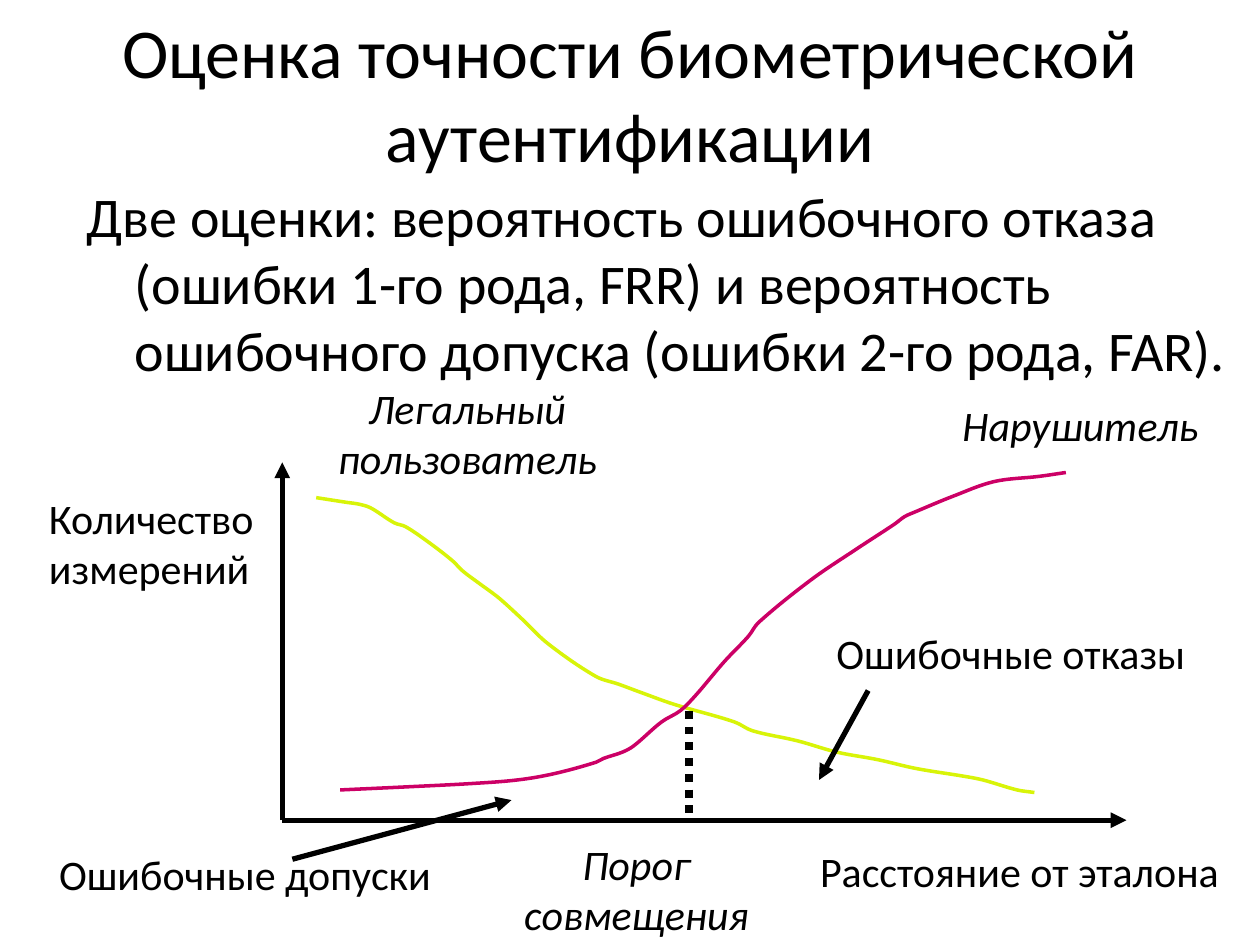
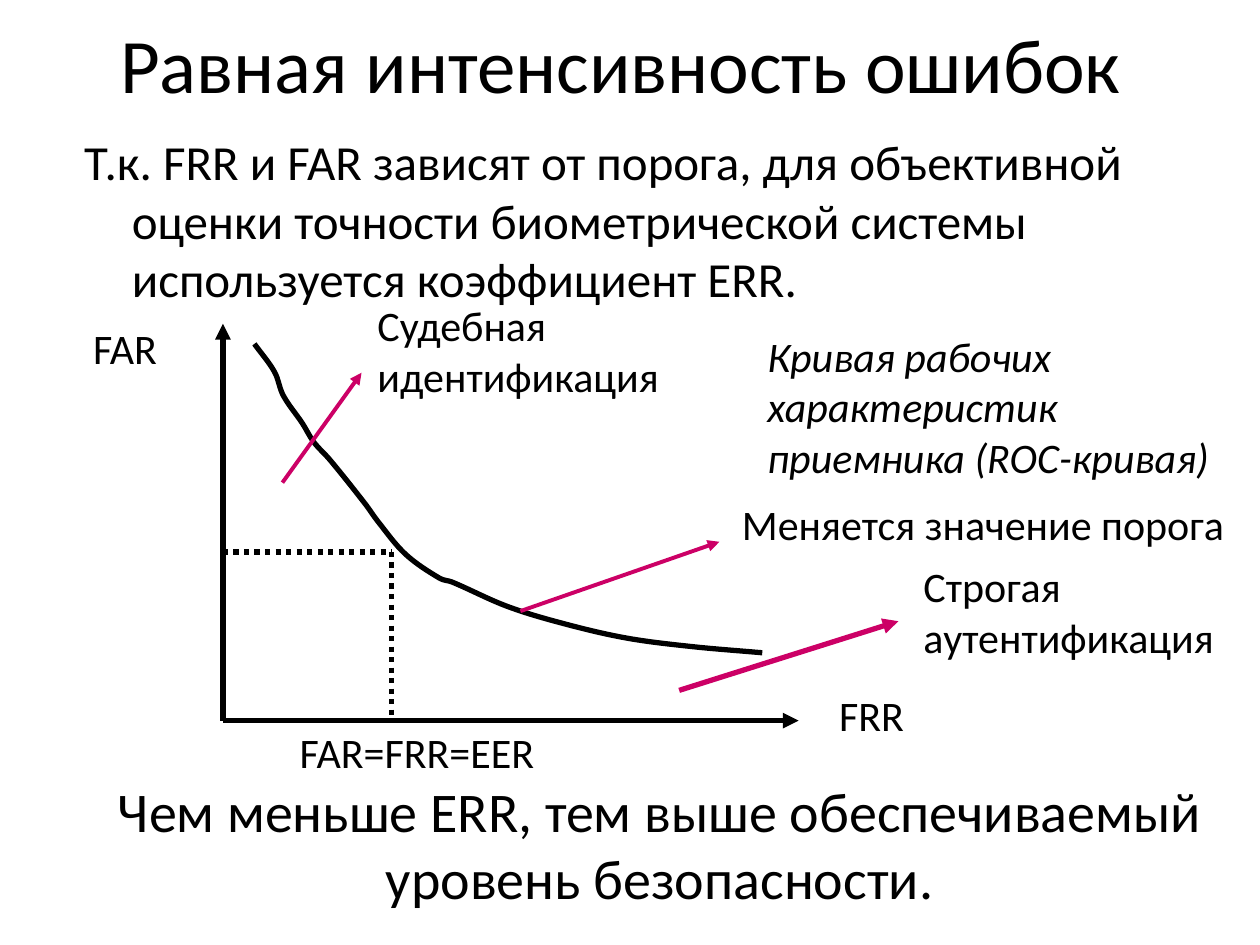
import math

import pptx
import pptx.util
import pptx.dml.color
import pptx.enum.shapes
import pptx.enum.text
import pptx.oxml.ns
from lxml import etree

Pt = pptx.util.Pt
qn = pptx.oxml.ns.qn
ALIGN = pptx.enum.text.PP_ALIGN
ANCHOR = pptx.enum.text.MSO_ANCHOR

COLORS = {"ink": "000000", "legal": "D8F408", "accent": "CC0066"}
FONT = "Calibri"
LABEL_SIZE = 24
AXIS_WIDTH = 3
HANGING = 27.3

# Curve anchors, measured from the top left corner of the plot
LEGAL_USER = [
    (19.4, 20.2), (37.4, 23), (43.2, 23.8), (50.4, 26), (64, 34.6), (70.5, 36.8),
    (84.2, 46.1), (97.2, 56.2), (103, 62), (111.6, 68.5), (122.4, 76.4),
    (128.2, 81.4), (137.5, 90), (151.9, 103.7), (179.3, 122.4), (192.2, 126.8),
    (203.8, 131.1), (223.9, 138.3), (258.5, 148.4), (268.6, 153.4),
    (294.5, 159.2), (316.8, 165.6), (340.6, 170), (362.2, 175),
    (388.8, 179.3), (400.3, 181.5), (419.8, 187.2), (429.8, 188.7)]
INTRUDER = [
    (33.1, 187.2), (70, 185.5), (107.3, 183.6), (134.6, 181.5), (155.5, 177.9),
    (179.3, 171.4), (183.6, 169.2), (194.4, 165.6), (200.9, 162), (216.7, 148.4),
    (227.5, 141.9), (236.2, 133.2), (252.7, 113.8), (266.4, 99.4), (272.2, 91.5),
    (302.4, 67), (329, 49), (349.9, 35.3), (355.7, 31), (362.2, 28.1),
    (383, 19.5), (406.8, 11), (432.7, 8), (447.8, 5.8)]
ROC = [
    (18, 11.5), (29.5, 27.5), (34.5, 41), (45.5, 57), (52, 67.7), (61.2, 77.8),
    (81.4, 103), (88.6, 113), (104.5, 131.8), (124, 145.5), (131, 147.6),
    (162, 161.3), (192.3, 170.7), (229.5, 179.4), (267.2, 184.4), (308.2, 188)]


def rgb(name):
    return pptx.dml.color.RGBColor.from_string(COLORS[name])


def add_text(s, box, lines, size, wrap=True, italic=False, align=ALIGN.LEFT,
             anchor=ANCHOR.TOP, hanging=0):
    tf = s.shapes.add_textbox(*map(Pt, box)).text_frame
    for name, value in {"word_wrap": wrap, "vertical_anchor": anchor}.items():
        setattr(tf, name, value)
    for i, line in enumerate(lines):
        p = tf.paragraphs[0] if i == 0 else tf.add_paragraph()
        p.alignment = align
        if hanging:
            pPr = p._p.get_or_add_pPr()
            pPr.set("marL", str(Pt(hanging)))
            pPr.set("indent", str(-Pt(hanging)))
        r = p.add_run()
        r.text = line
        r.font.color.rgb = rgb("ink")
        font = {"name": FONT, "size": Pt(size), "italic": italic}
        for name, value in font.items():
            setattr(r.font, name, value)


def add_title(s, box, text, size):
    add_text(s, box, [text], size, align=ALIGN.CENTER, anchor=ANCHOR.MIDDLE)


def add_body(s, box, text, size):
    add_text(s, box, [text], size, hanging=HANGING)


def add_label(s, plot, x, y, width, lines, **style):
    """Place a label by its offset from the plot corner."""
    height = 7 + 29 * len(lines)
    box = (plot[0] + x, plot[1] + y, width, height)
    add_text(s, box, lines, LABEL_SIZE, **{"wrap": False, **style})


def add_line(s, plot, start, end, color="ink", width=AXIS_WIDTH,
             arrow=True, dotted=False):
    left, top = plot[:2]
    sp = s.shapes.add_connector(
        pptx.enum.shapes.MSO_CONNECTOR.STRAIGHT,
        Pt(left + start[0]), Pt(top + start[1]),
        Pt(left + end[0]), Pt(top + end[1]))
    sp.line.color.rgb = rgb(color)
    sp.line.width = Pt(width)
    ln = sp.line._get_or_add_ln()
    if dotted:
        etree.SubElement(ln, qn("a:prstDash"), val="sysDot")
    if arrow:
        etree.SubElement(ln, qn("a:tailEnd"), type="triangle")
    etree.SubElement(sp._element.spPr, qn("a:effectLst"))


def add_axes(s, plot):
    width, height = plot[2:]
    for end in ((0, 0), (width, height)):
        add_line(s, plot, (0, height), end)


def bezier_points(points):
    """Start point, then two handles and an anchor for each smooth segment."""
    padded = [points[0], *points, points[-1]]
    slopes = [math.atan2(b[1] - a[1], b[0] - a[0])
              for a, b in zip(padded, padded[2:])]
    result = [points[0]]
    for i, (a, b) in enumerate(zip(points, points[1:])):
        reach = math.dist(a, b) / 3
        for (x, y), slope, sign in ((a, slopes[i], 1), (b, slopes[i + 1], -1)):
            result.append((x + sign * reach * math.cos(slope),
                           y + sign * reach * math.sin(slope)))
        result.append(b)
    return result


def add_curve(s, plot, points, color, width):
    outline = [(Pt(plot[0] + x), Pt(plot[1] + y))
               for x, y in bezier_points(points)]
    builder = s.shapes.build_freeform(*outline[0])
    builder.add_line_segments(outline[1:], close=False)
    sp = builder.convert_to_shape()
    # Join every three line segments into one cubic segment
    segments = list(sp._element.iter(qn("a:lnTo")))
    for i in range(0, len(segments), 3):
        cubic = etree.Element(qn("a:cubicBezTo"))
        segments[i].addprevious(cubic)
        for segment in segments[i:i + 3]:
            cubic.append(segment[0])
            segment.getparent().remove(segment)
    sp.shadow.inherit = False
    sp.fill.background()
    sp.line.color.rgb = rgb(color)
    sp.line.width = Pt(width)


def draw_error_plot(s, plot):
    bottom = plot[3]
    add_axes(s, plot)
    # Distributions and threshold
    add_curve(s, plot, LEGAL_USER, "legal", 2)
    add_curve(s, plot, INTRUDER, "accent", 2)
    add_line(s, plot, (232.5, 142), (232.5, bottom), width=4.5,
             arrow=False, dotted=True)
    # Axis names
    add_label(s, plot, -140.4, 13.7, 140.4, ["Количество", "измерений"],
              wrap=True)
    add_label(s, plot, 300.2, 215.5, 243, ["Расстояние от эталона"])
    # Curve and threshold names
    named = {"italic": True, "align": ALIGN.CENTER}
    add_label(s, plot, 131, 211.2, 142.6, ["Порог", "совмещения"], **named)
    add_label(s, plot, 24.4, -49.4, 162.7, ["Легальный", "пользователь"],
              **named)
    add_label(s, plot, 381.6, -39.6, 149.8, ["Нарушитель"], italic=True)
    # Error regions
    add_line(s, plot, (5.8, 226.8), (131, 193))
    add_label(s, plot, -134.6, 217, 226.8, ["Ошибочные допуски"])
    add_line(s, plot, (334.8, 130.4), (306.7, 181.5))
    add_label(s, plot, 309.6, 90.8, 213.8, ["Ошибочные отказы"])


def draw_roc_plot(s, plot):
    bottom = plot[3]
    add_axes(s, plot)
    add_label(s, plot, -81.3, -4.3, 52, ["FAR"])
    add_label(s, plot, 345, 205.3, 54, ["FRR"])
    # Curve
    add_curve(s, plot, ROC, "ink", 3)
    add_label(s, plot, 304, 0.2, 267,
              ["Кривая рабочих", "характеристик", "приемника (ROC-кривая)"],
              italic=True)
    # Equal error point
    equal = (96.5, 130.4)
    for start, end in (((0, equal[1]), equal), (equal, (equal[0], bottom))):
        add_line(s, plot, start, end, arrow=False, dotted=True)
    add_label(s, plot, 36.8, 226.8, 150, ["FAR=FRR=EER"])
    # Callouts: arrow start, arrow end, line width, label place, label lines
    callouts = [
        ((170, 164.2), (283.7, 124.6), 2.25, (289.5, 96.5, 290),
         ["Меняется значение порога"]),
        ((34, 90.8), (79.2, 28), 2.25, (81.2, -17.2, 176),
         ["Судебная", "идентификация"]),
        ((260.7, 209.5), (386, 170), 3, (393.2, 132, 181),
         ["Строгая", "аутентификация"])]
    for start, end, width, place, lines in callouts:
        add_line(s, plot, start, end, "accent", width)
        add_label(s, plot, *place, lines)


def build_accuracy_slide(s):
    add_title(s, (0, 0, 720, 106),
              "Оценка точности биометрической аутентификации", 40)
    add_body(s, (42.5, 100, 677.5, 170),
             "Две оценки: вероятность ошибочного отказа (ошибки 1-го рода, FRR) "
             "и вероятность ошибочного допуска (ошибки 2-го рода, FAR).", 32)
    draw_error_plot(s, (161.3, 264.2, 482.4, 204.5))


def build_equal_error_slide(s):
    add_title(s, (31, 0, 648, 71.5), "Равная интенсивность ошибок", 44)
    add_body(s, (41, 71.4, 672.5, 109.5),
             "Т.к. FRR и FAR зависят от порога, для объективной оценки точности "
             "биометрической системы используется коэффициент ERR.", 28)
    draw_roc_plot(s, (127.4, 185, 329, 226.8))
    add_text(s, (41, 440, 672.5, 84),
             ["Чем меньше ERR, тем выше обеспечиваемый уровень безопасности."],
             32, align=ALIGN.CENTER)


def main():
    prs = pptx.Presentation()
    prs.slide_width, prs.slide_height = Pt(720), Pt(540)
    for build in (build_accuracy_slide, build_equal_error_slide):
        build(prs.slides.add_slide(prs.slide_layouts[6]))
    prs.save("out.pptx")


if __name__ == "__main__":
    main()
